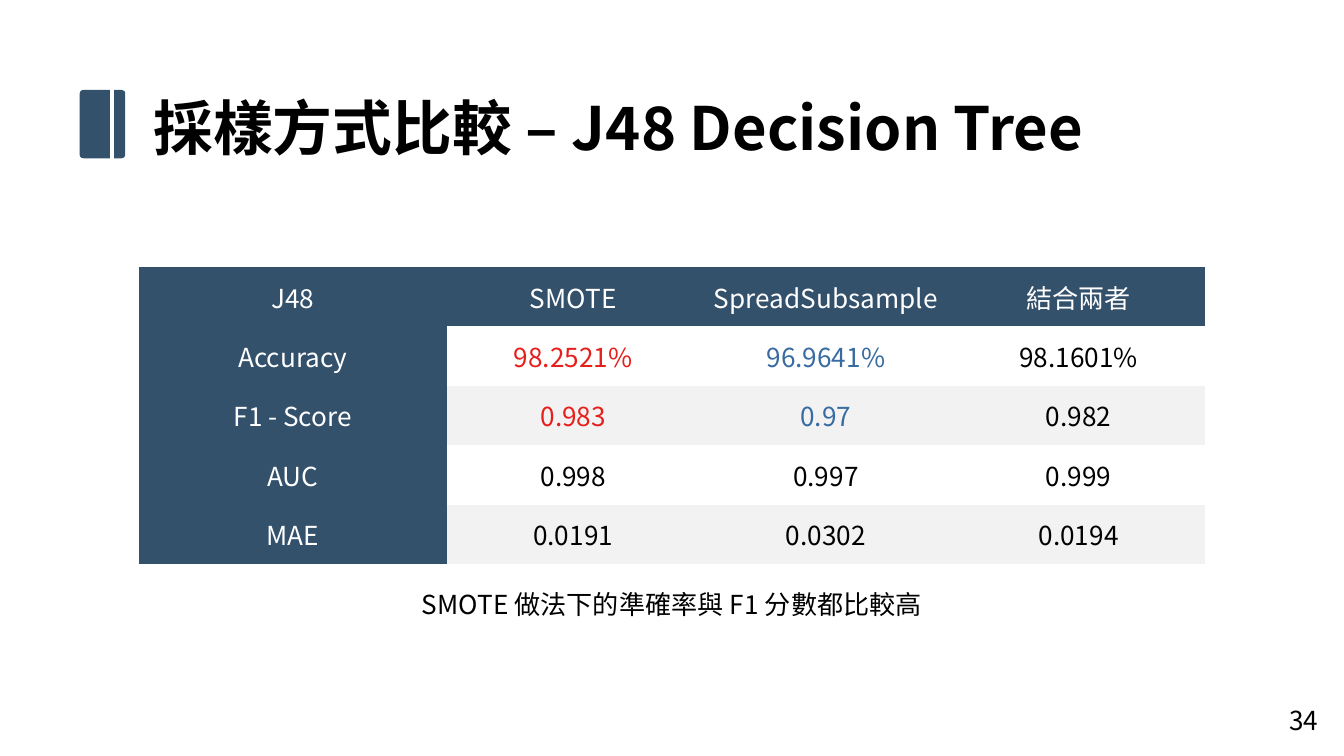
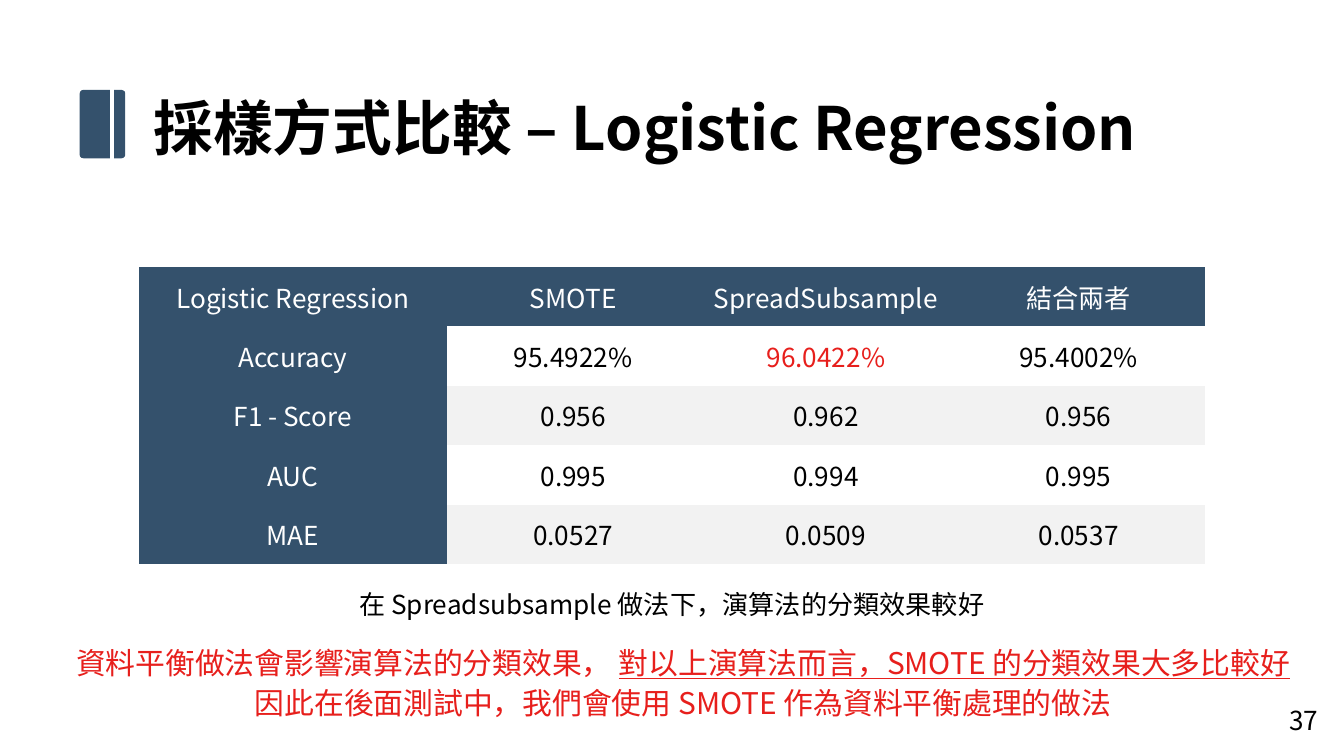
import pptx
import pptx.util
import pptx.dml.color
import pptx.enum.shapes
import pptx.enum.text
import pptx.oxml
import pptx.oxml.ns

Pt = pptx.util.Pt
ALIGN = pptx.enum.text.PP_ALIGN
ANCHOR = pptx.enum.text.MSO_ANCHOR
FONT = "Noto Sans CJK JP"
COLORS = {
    "navy": "34516C",
    "stripe": "F2F2F2",
    "white": "FFFFFF",
    "black": "000000",
    "red": "E71F1C",
    "blue": "376BA2",
}
NO_STYLE = "{2D5ABB26-0587-4C30-8999-92F81FD0307C}"
SAMPLERS = ["SMOTE", "SpreadSubsample", "結合兩者"]
METRICS = ["Accuracy", "F1 - Score", "AUC", "MAE"]


def rgb(name):
    return pptx.dml.color.RGBColor.from_string(COLORS[name])


def format_paragraph(p, size, color="black", align=ALIGN.CENTER, bold=False):
    p.alignment = align
    p.font.size = Pt(size)
    p.font.bold = bold
    p.font.color.rgb = rgb(color)
    p.font.name = FONT
    def_rpr = p._p.get_or_add_pPr().find(pptx.oxml.ns.qn("a:defRPr"))
    ea = pptx.oxml.parse_xml(f'<a:ea {pptx.oxml.ns.nsdecls("a")} typeface="{FONT}"/>')
    def_rpr.append(ea)


def add_title(s, text):
    """Fill the title placeholder and draw the split bar to its left."""
    title = s.shapes.title
    title.left, title.top, title.width, title.height = Pt(75), Pt(44.6), Pt(605.5), Pt(46)
    tf = title.text_frame
    tf.text = text
    tf.auto_size = pptx.enum.text.MSO_AUTO_SIZE.NONE
    tf.vertical_anchor = ANCHOR.MIDDLE
    format_paragraph(tf.paragraphs[0], 32, align=ALIGN.LEFT, bold=True)

    bar = s.shapes.add_shape(pptx.enum.shapes.MSO_SHAPE.ROUNDED_RECTANGLE,
                             Pt(42.7), Pt(48.2), Pt(24.4), Pt(36.6))
    bar.adjustments[0] = 0.08
    bar.shadow.inherit = False
    bar.fill.solid()
    bar.fill.fore_color.rgb = rgb("navy")
    bar.line.fill.background()

    split = s.shapes.add_connector(pptx.enum.shapes.MSO_CONNECTOR.STRAIGHT,
                                   Pt(59.9), Pt(43.2), Pt(59.9), Pt(92.2))
    split.line.color.rgb = rgb("white")
    split.line.width = Pt(2)
    split._element.spPr.append(
        pptx.oxml.parse_xml(f'<a:effectLst {pptx.oxml.ns.nsdecls("a")}/>'))


def add_score_table(s, model, scores, highlights):
    """highlights maps (row, column) of a score to a colour name."""
    rows = [[model] + SAMPLERS] + [[m] + values for m, values in zip(METRICS, scores)]
    table = s.shapes.add_table(len(rows), len(rows[0]),
                               Pt(74.4), Pt(143), Pt(571.2), Pt(153.2)).table
    table._tbl.tblPr.find(pptx.oxml.ns.qn("a:tableStyleId")).text = NO_STYLE
    for i, column in enumerate(table.columns):
        column.width = Pt(165) if i == 0 else Pt(135.4)
    for i, row in enumerate(table.rows):
        row.height = Pt(31.6) if i == 0 else Pt(30.4)
    for i, row in enumerate(rows):
        for j, text in enumerate(row):
            is_header = i == 0 or j == 0
            cell = table.cell(i, j)
            cell.text = text
            cell.vertical_anchor = ANCHOR.MIDDLE
            cell.margin_left = cell.margin_right = Pt(5.7)
            cell.margin_top = cell.margin_bottom = Pt(5.7)
            if is_header or i % 2 == 0:
                cell.fill.solid()
                cell.fill.fore_color.rgb = rgb("navy" if is_header else "stripe")
            else:
                cell.fill.background()
            color = "white" if is_header else highlights.get((i, j), "black")
            format_paragraph(cell.text_frame.paragraphs[0], 14, color)


def add_text_box(s, left, top, width, height):
    tf = s.shapes.add_textbox(Pt(left), Pt(top), Pt(width), Pt(height)).text_frame
    tf.word_wrap = True
    return tf


def add_label(s, text, left, top, width, height):
    tf = add_text_box(s, left, top, width, height)
    tf.text = text
    format_paragraph(tf.paragraphs[0], 14)


def add_conclusion(s, lines):
    """Each line is a list of (text, underlined) runs."""
    tf = add_text_box(s, 0, 339, 720, 50.4)
    for i, runs in enumerate(lines):
        p = tf.add_paragraph() if i else tf.paragraphs[0]
        p._p.get_or_add_pPr().set("marL", str(Pt(12)))
        p._p.get_or_add_pPr().set("indent", "0")
        p.line_spacing = 1.14
        for text, underlined in runs:
            r = p.add_run()
            r.text = text
            if underlined:
                r.font.underline = True
        format_paragraph(p, 16, "red")


def add_comparison(prs, model, title, scores, highlights, caption, number):
    s = prs.slides.add_slide(prs.slide_layouts[5])
    add_title(s, f"採樣方式比較 – {title}")
    add_score_table(s, model, scores, highlights)
    add_label(s, number, 676.8, 373.7, 43.2, 31)
    add_label(s, caption, 0, 311.8, 720, 24.5)
    return s


def main():
    prs = pptx.Presentation()
    prs.slide_width, prs.slide_height = Pt(720), Pt(405)

    add_comparison(
        prs, "J48", "J48 Decision Tree",
        [["98.2521%", "96.9641%", "98.1601%"],
         ["0.983", "0.97", "0.982"],
         ["0.998", "0.997", "0.999"],
         ["0.0191", "0.0302", "0.0194"]],
        {(1, 1): "red", (2, 1): "red", (1, 2): "blue", (2, 2): "blue"},
        "SMOTE 做法下的準確率與 F1 分數都比較高", "34")

    s = add_comparison(
        prs, "Logistic Regression", "Logistic Regression",
        [["95.4922%", "96.0422%", "95.4002%"],
         ["0.956", "0.962", "0.956"],
         ["0.995", "0.994", "0.995"],
         ["0.0527", "0.0509", "0.0537"]],
        {(1, 2): "red"},
        "在 Spreadsubsample 做法下，演算法的分類效果較好", "37")
    add_conclusion(s, [
        [("資料平衡做法會影響演算法的分類效果， ", False),
         ("對以上演算法而言，SMOTE 的分類效果大多比較好", True)],
        [("因此在後面測試中，我們會使用 SMOTE 作為資料平衡處理的做法", False)],
    ])

    prs.save("out.pptx")


if __name__ == "__main__":
    main()
